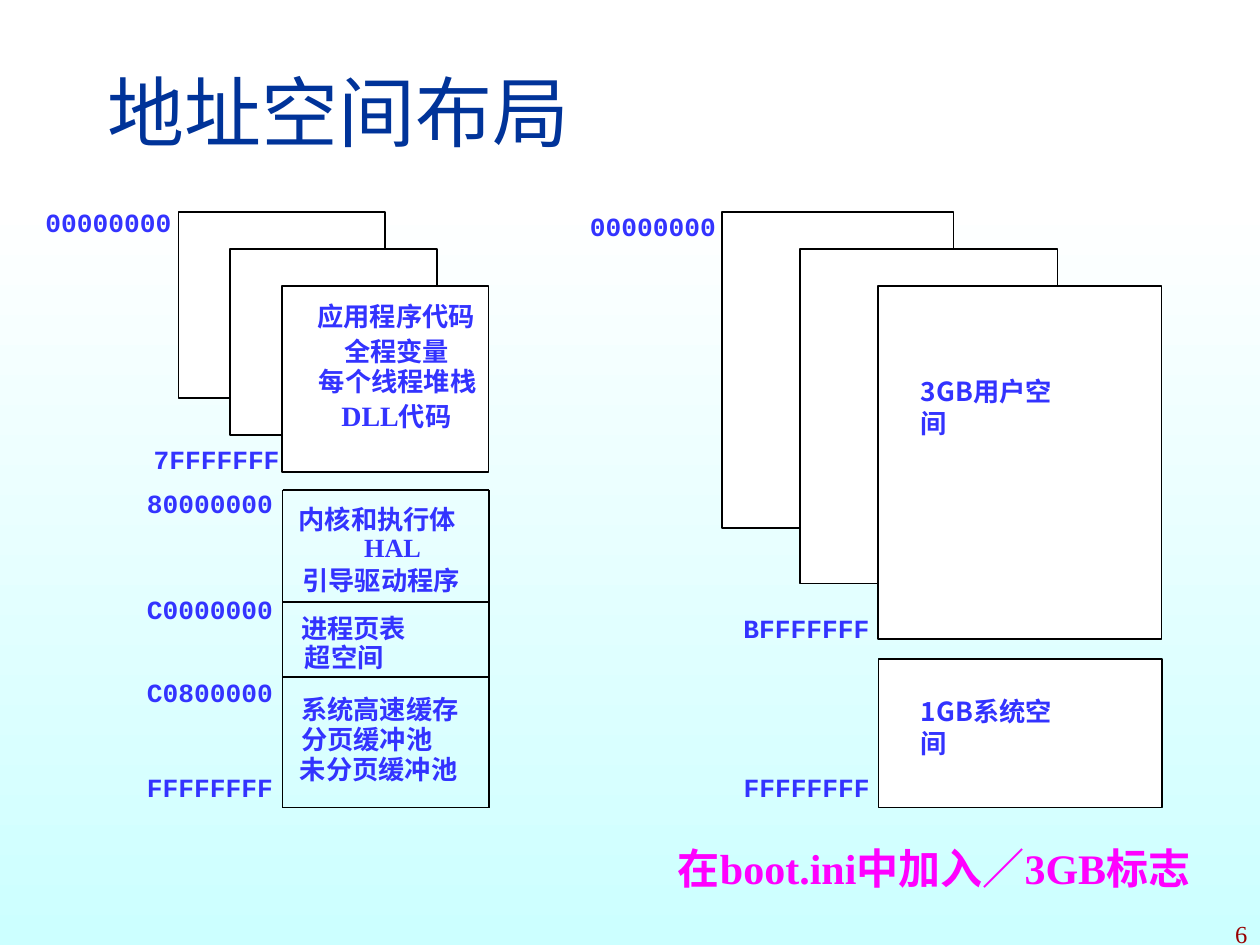
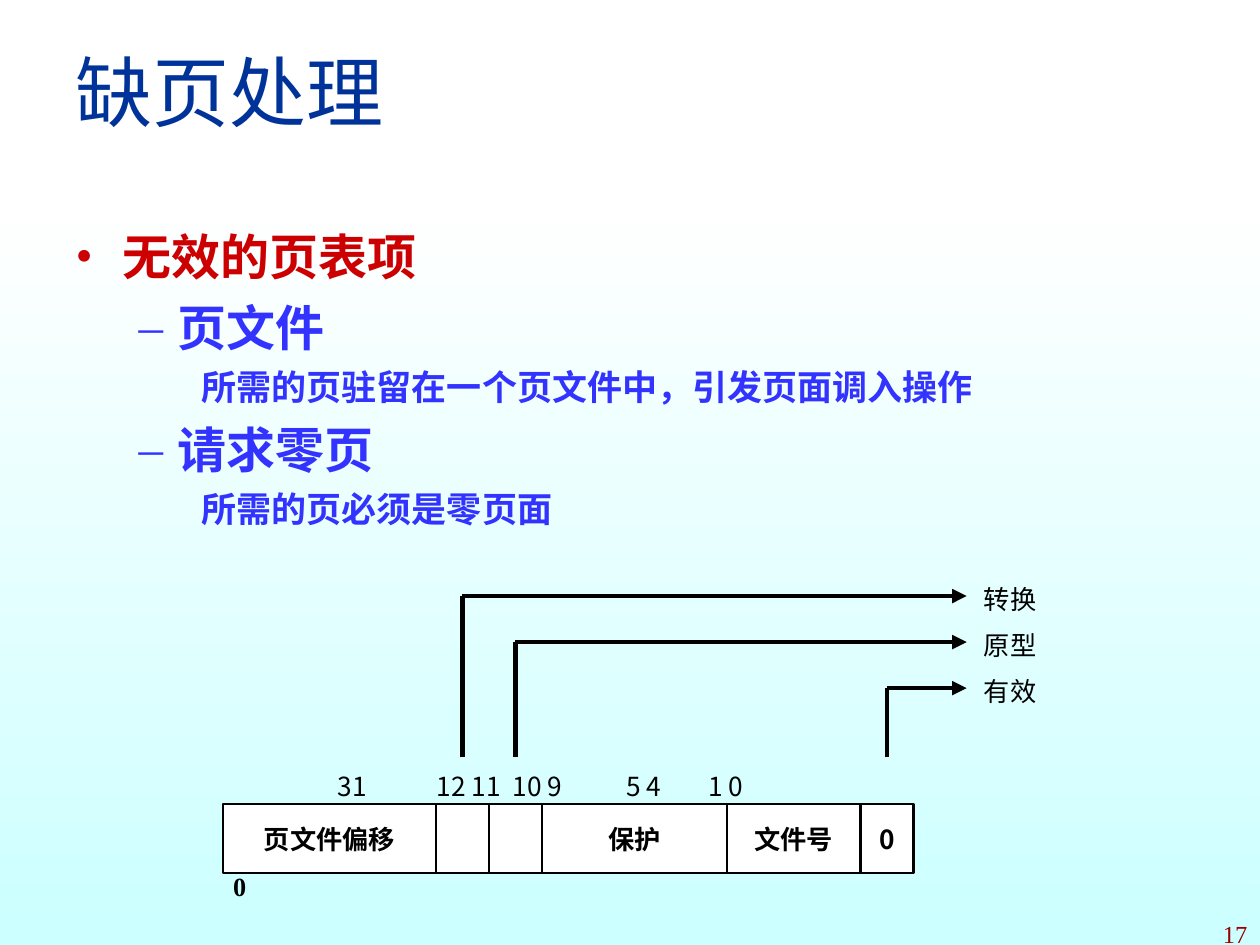
from itertools import accumulate
from lxml.etree import SubElement
from pptx import Presentation
from pptx.dml.color import RGBColor
from pptx.enum.shapes import MSO_CONNECTOR as Connector, MSO_SHAPE as Preset
from pptx.enum.text import MSO_ANCHOR as Anchor, PP_ALIGN as Align
from pptx.oxml.ns import qn
from pptx.util import Pt

COLORS = {
    "title": "003399",
    "blue": "3333FF",
    "red": "CC0000",
    "number": "990000",
    "magenta": "FF00FF",
    "black": "000000",
    "white": "FFFFFF",
    "aqua": "CCFFFF",
}
SANS, SERIF, MONO, HEADING = "Noto Sans CJK SC", "Times New Roman", "Courier New", "Arial"
LABEL_SIZE = 15
ADDRESS_WIDTH = 74


def rgb(name):
    return RGBColor.from_string(COLORS[name])


def style(paragraph, size, font, color, bold):
    paragraph.font.size = Pt(size)
    paragraph.font.name = font
    paragraph.font.bold = bold
    paragraph.font.color.rgb = rgb(color)
    properties = paragraph._p.pPr.find(qn("a:defRPr"))
    SubElement(properties, qn("a:ea"), typeface=SANS)


def text_frame(slide, left, top, width, height):
    box = slide.shapes.add_textbox(Pt(left), Pt(top), Pt(width), Pt(height))
    frame = box.text_frame
    frame.word_wrap = True
    frame.margin_left = frame.margin_right = frame.margin_top = frame.margin_bottom = 0
    return frame


def label(slide, text, left, top, width=None, size=LABEL_SIZE, font=SANS,
          color="blue", bold=True):
    width = width or len(text) * size + 3
    paragraph = text_frame(slide, left, top, width, size * 1.2).paragraphs[0]
    paragraph.text = text
    style(paragraph, size, font, color, bold)
    return paragraph


def address(slide, text, left, top):
    label(slide, text, left, top, ADDRESS_WIDTH, font=MONO)


def rectangle(slide, left, top, width, height, line_width=1):
    shape = slide.shapes.add_shape(Preset.RECTANGLE, Pt(left), Pt(top), Pt(width), Pt(height))
    shape.shadow.inherit = False
    shape.fill.solid()
    shape.fill.fore_color.rgb = rgb("white")
    shape.line.color.rgb = rgb("black")
    shape.line.width = Pt(line_width)
    return shape


def line(slide, x1, y1, x2, y2, width=1, arrow=False):
    connector = slide.shapes.add_connector(Connector.STRAIGHT, Pt(x1), Pt(y1), Pt(x2), Pt(y2))
    connector.line.color.rgb = rgb("black")
    connector.line.width = Pt(width)
    if arrow:
        SubElement(connector.line._get_or_add_ln(), qn("a:tailEnd"), type="triangle")
    SubElement(connector._element.spPr, qn("a:effectLst"))


def base_slide(presentation, title, title_left, title_top, number):
    slide = presentation.slides.add_slide(presentation.slide_layouts[6])
    band = rectangle(slide, 0, 111.6, 720, 428.4)
    band.line.fill.background()
    band.fill.gradient()
    band.fill.gradient_angle = 270
    for stop, position, color in zip(band.fill.gradient_stops, (0, 1), ("white", "aqua")):
        stop.position = position
        stop.color.rgb = rgb(color)
    label(slide, number, 516, 525, 196.8, 14, SERIF, "number", False).alignment = Align.RIGHT
    label(slide, title, title_left, title_top, 600, 44, HEADING, "title", False)
    return slide


def page_stack(slide, left, top, width, height, step, grow=(0, 0)):
    for index in range(3):
        rectangle(slide, left + index * step[0], top + index * step[1],
                  width + index * grow[0], height + index * grow[1])


def user_space(slide, left, top):
    page_stack(slide, left, top, 118, 106.5, (29.6, 21.2))
    for text, x, y in (("应用程序代码", 79.4, 50.4), ("全程变量", 94.6, 70.5),
                       ("每个线程堆栈", 80.2, 87.8)):
        label(slide, text, left + x, top + y)
    library = label(slide, "DLL", left + 93.1, top + 106.5, 70, 16, SERIF)
    run = library.add_run()
    run.text = "代码"
    run.font.size = Pt(LABEL_SIZE)
    address(slide, "00000000", left - 76, top - 2.9)
    address(slide, "7FFFFFFF", left - 14.2, top + 132.4)


def system_space(slide, left, top, width):
    edges = list(accumulate((0, 64, 43, 74.5)))
    for edge in edges:
        line(slide, left, top + edge, left + width, top + edge)
    for x in (left, left + width):
        line(slide, x, top, x, top + edges[-1])
    for text, x, y in (("内核和执行体", 9.1, 7.3), ("引导驱动程序", 11.3, 42.6),
                       ("进程页表", 10.6, 70), ("超空间", 12.7, 86.5),
                       ("系统高速缓存", 10.6, 116), ("分页缓冲池", 10.6, 133.3),
                       ("未分页缓冲池", 9.9, 150.6)):
        label(slide, text, left + x, top + y)
    label(slide, "HAL", left + 46.6, top + 23.8, font=SERIF)
    for text, y in (("80000000", -1.4), ("C0000000", 59.1),
                    ("C0800000", 106.6), ("FFFFFFFF", 160.6)):
        address(slide, text, left - 77.5, top + y)


def large_user_space(slide, left, top):
    page_stack(slide, left, top, 132.5, 180.7, (44.6, 21.2), (14.75, 10.5))
    label(slide, "3GB用户空间", left + 113.8, top + 93.6, 88)
    address(slide, "00000000", left - 75.4, top - 0.8)
    address(slide, "BFFFFFFF", left + 12.3, top + 228.9)


def small_system_space(slide, left, top):
    rectangle(slide, left, top, 162, 85)
    label(slide, "1GB系统空间", left + 24.3, top + 20.9, 88)
    address(slide, "FFFFFFFF", left - 77, top + 64)


def address_space_slide(presentation):
    slide = base_slide(presentation, "地址空间布局", 61.2, 36.7, "6")
    user_space(slide, 102, 121)
    system_space(slide, 161.5, 280, 118)
    large_user_space(slide, 412.5, 121)
    small_system_space(slide, 502, 376.5)
    label(slide, "在boot.ini中加入／3GB标志", 387.4, 481.7, 328, 24, SERIF, "magenta")


LEVELS = (
    dict(margin=27, indent=-27, bullet="•", size=28, font=SANS, color="red", before=7),
    dict(margin=58.5, indent=-22.5, bullet="–", size=28, font=SANS, color="blue", before=7),
    dict(margin=72, indent=0, bullet=None, size=20, font=SERIF, color="blue", before=5),
)


def outline(slide, left, top, width, height, items):
    frame = text_frame(slide, left, top, width, height)
    for index, (depth, text) in enumerate(items):
        level = LEVELS[depth]
        paragraph = frame.add_paragraph() if index else frame.paragraphs[0]
        paragraph.text = text
        paragraph.level = depth
        if index:
            paragraph.space_before = Pt(level["before"])
        properties = paragraph._p.get_or_add_pPr()
        properties.set("marL", str(Pt(level["margin"])))
        properties.set("indent", str(Pt(level["indent"])))
        if level["bullet"]:
            SubElement(properties, qn("a:buFont"), typeface=SERIF)
            SubElement(properties, qn("a:buChar"), char=level["bullet"])
        else:
            SubElement(properties, qn("a:buNone"))
        style(paragraph, level["size"], level["font"], level["color"], True)


def page_table_entry(slide, left, top):
    height = 39.6
    fields = (("页文件偏移", 121.7), ("", 30.3), ("", 30.3), ("保护", 105.8),
              ("文件号", 76.3), ("0", 30.2))
    starts = accumulate((width for _, width in fields), initial=0)
    centers = []
    for (text, width), start in zip(fields, starts):
        cell = rectangle(slide, left + start, top, width, height, 1.25)
        centers.append(left + start + width / 2)
        if text:
            frame = cell.text_frame
            frame.margin_left = frame.margin_right = 0
            frame.vertical_anchor = Anchor.MIDDLE
            paragraph = frame.paragraphs[0]
            paragraph.text = text
            paragraph.alignment = Align.CENTER
            style(paragraph, LABEL_SIZE, SANS, "black", True)
    label(slide, "0", left + 5.8, top + 38, font=SERIF, color="black")
    bit_numbers(slide, left + 65.5, top - 19.4)
    for row, (text, field) in enumerate((("转换", 1), ("原型", 2), ("有效", 5))):
        center, level = centers[field], top - 118.8 + row * 26.3
        line(slide, center, top - 26.6, center, level, 2.5)
        line(slide, center, level, left + 425, level, 2.75, arrow=True)
        label(slide, text, left + 434.9, level - 7.2, color="black", bold=False)


def bit_numbers(slide, left, top):
    paragraph = text_frame(slide, left, top, 256, 18).paragraphs[0]
    paragraph.text = "31\t12 11\t10 9\t5 4\t1 0"
    tabs = SubElement(paragraph._p.get_or_add_pPr(), qn("a:tabLst"))
    for position in (56.7, 100.2, 165, 212):
        SubElement(tabs, qn("a:tab"), pos=str(Pt(position)), algn="l")
    style(paragraph, LABEL_SIZE, SANS, "black", False)


def page_fault_slide(presentation):
    slide = base_slide(presentation, "缺页处理", 43.2, 25.2, "17")
    outline(slide, 43.2, 129.6, 594, 200, (
        (0, "无效的页表项"),
        (1, "页文件"),
        (2, "所需的页驻留在一个页文件中，引发页面调入操作"),
        (1, "请求零页"),
        (2, "所需的页必须是零页面"),
    ))
    page_table_entry(slide, 127.4, 459.4)


def main():
    presentation = Presentation()
    presentation.slide_width, presentation.slide_height = Pt(720), Pt(540)
    address_space_slide(presentation)
    page_fault_slide(presentation)
    presentation.save("out.pptx")


if __name__ == "__main__":
    main()
